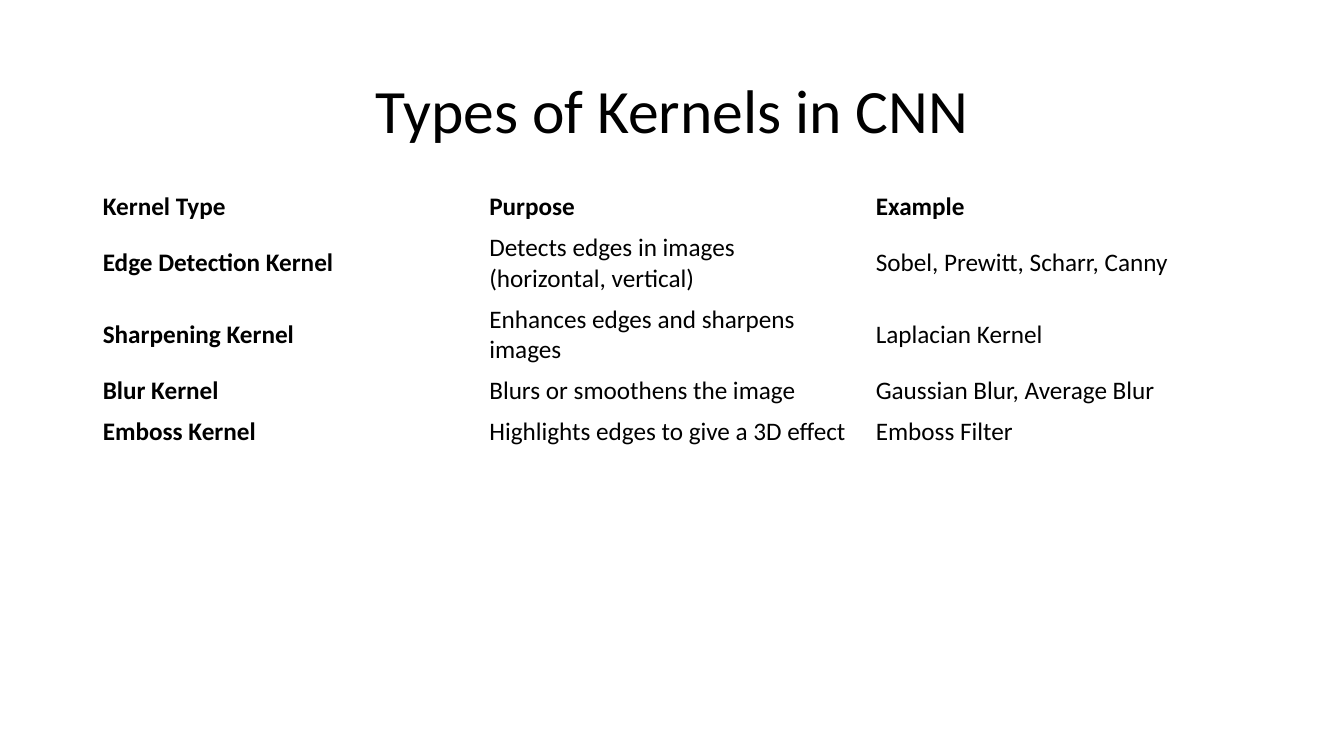
from dataclasses import dataclass

from pptx import Presentation
from pptx.dml.color import RGBColor
from pptx.enum.text import MSO_ANCHOR, PP_ALIGN
from pptx.util import Inches, Pt

MIDDLE = MSO_ANCHOR.MIDDLE
CENTER, LEFT = PP_ALIGN.CENTER, PP_ALIGN.LEFT
TITLE_ONLY = 5


@dataclass(frozen=True)
class Theme:
    font: str = "Calibri"
    text: RGBColor = RGBColor(0, 0, 0)
    title_size: Pt = Pt(44)
    table_size: Pt = Pt(18)


THEME = Theme()

# Content area shared by title and table
MARGIN, CONTENT_WIDTH = Inches(0.92), Inches(11.5)
ONE_LINE, TWO_LINES = Inches(0.4), Inches(0.71)

KERNELS = [
    (ONE_LINE, ("Kernel Type", "Purpose", "Example")),
    (TWO_LINES, ("Edge Detection Kernel",
                 "Detects edges in images (horizontal, vertical)",
                 "Sobel, Prewitt, Scharr, Canny")),
    (TWO_LINES, ("Sharpening Kernel", "Enhances edges and sharpens images",
                 "Laplacian Kernel")),
    (ONE_LINE, ("Blur Kernel", "Blurs or smoothens the image",
                "Gaussian Blur, Average Blur")),
    (ONE_LINE, ("Emboss Kernel", "Highlights edges to give a 3D effect",
                "Emboss Filter")),
]


def set_attrs(target, values):
    for name, value in values.items():
        setattr(target, name, value)


def write_text(tf, text, size, bold=False, align=LEFT):
    p = tf.paragraphs[0]
    p.alignment = align
    r = p.add_run()
    r.text = text
    set_attrs(r.font, {"name": THEME.font, "size": size, "bold": bold})
    r.font.color.rgb = THEME.text


def add_title(s, text):
    sp = s.shapes.title
    set_attrs(sp, {"left": MARGIN, "top": Inches(0.4),
                   "width": CONTENT_WIDTH, "height": Inches(1.45)})
    tf = sp.text_frame
    set_attrs(tf, {"vertical_anchor": MIDDLE, "word_wrap": True})
    write_text(tf, text, THEME.title_size, align=CENTER)
    tf.paragraphs[0].line_spacing = 0.9


def add_kernel_table(s, rows):
    columns = len(rows[0][1])
    height = sum(row_height for row_height, _ in rows)
    table = s.shapes.add_table(len(rows), columns, MARGIN, Inches(1.85),
                               CONTENT_WIDTH, height).table
    set_attrs(table, {"first_row": False, "horz_banding": False})
    for i, (row_height, texts) in enumerate(rows):
        table.rows[i].height = row_height
        for j, text in enumerate(texts):
            cell = table.cell(i, j)
            cell.fill.background()
            cell.vertical_anchor = MIDDLE
            # Header row and first column are bold
            write_text(cell.text_frame, text, THEME.table_size,
                       bold=i == 0 or j == 0)


def main():
    prs = Presentation()
    set_attrs(prs, {"slide_width": Inches(13.33), "slide_height": Inches(7.5)})
    s = prs.slides.add_slide(prs.slide_layouts[TITLE_ONLY])
    add_title(s, "Types of Kernels in CNN")
    add_kernel_table(s, KERNELS)
    prs.save("out.pptx")


if __name__ == "__main__":
    main()
